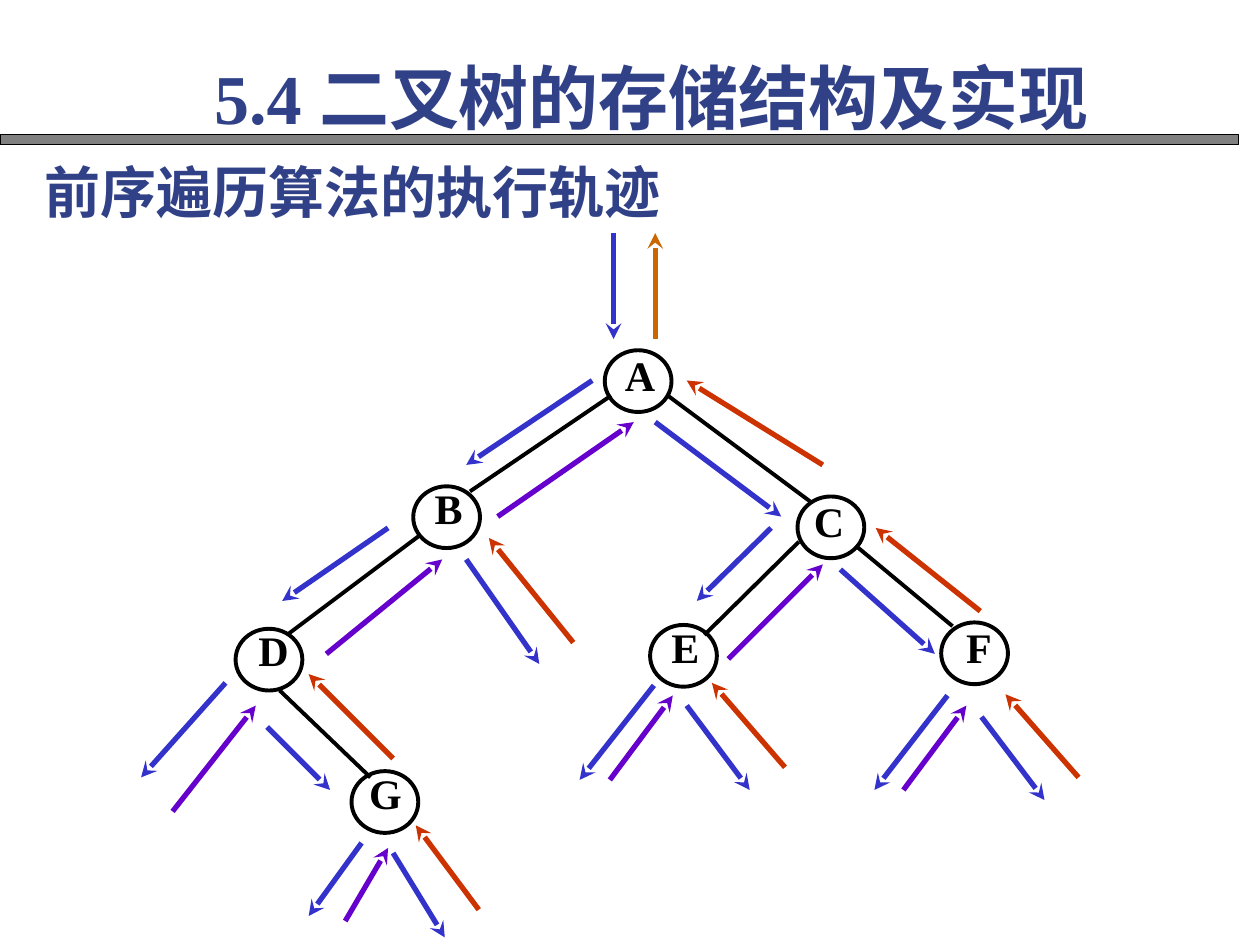
from dataclasses import dataclass
from pptx import Presentation
from pptx.dml.color import RGBColor as RGB
from pptx.enum.shapes import MSO_CONNECTOR as Link, MSO_SHAPE as Shape
from pptx.enum.text import MSO_ANCHOR as Anchor, PP_ALIGN as Align
from pptx.oxml.ns import qn
from pptx.util import Inches, Pt
from lxml.etree import SubElement as Sub


@dataclass
class Theme:
    ink: str = "000000"
    bar: str = "808080"
    head: str = "314187"
    call: str = "3333CC"
    left: str = "6600CC"
    right: str = "CC3300"
    done: str = "CC6600"
    latin: str = "Times New Roman"
    asian: str = "Noto Sans CJK SC"
    title: int = 40
    lead: int = 32
    node: int = 24
    thin: float = 0.75
    edge: float = 2.25
    arrow: float = 3


NODES = {
    "A": (4.8, 2.78, 0.06, -0.01),
    "B": (3.28, 3.86, 0.06, -0.03),
    "C": (6.33, 3.94, 0.03, -0.01),
    "D": (1.87, 4.99, 0.08, -0.03),
    "E": (5.16, 4.96, 0.06, -0.03),
    "F": (7.47, 4.94, 0.08, -0.01),
    "G": (2.79, 6.12, 0.05, -0.03),
}

EDGES = [
    (4.85, 3.14, 3.73, 3.9), (5.3, 3.14, 6.43, 3.98),
    (3.33, 4.25, 2.29, 5.03), (2.22, 5.48, 2.94, 6.17),
    (6.34, 4.3, 5.59, 5.04), (6.79, 4.33, 7.56, 4.97),
]

STEPS = {
    "call": [
        (4.87, 1.85, 4.87, 2.69), (4.7, 3.02, 3.7, 3.69),
        (3.08, 4.19, 2.24, 4.77), (1.79, 5.42, 1.12, 6.17),
        (2.12, 5.77, 2.62, 6.27), (2.87, 6.69, 2.45, 7.27),
        (3.12, 6.77, 3.53, 7.44), (3.7, 4.44, 4.28, 5.27),
        (5.2, 3.35, 6.2, 4.1), (6.12, 4.19, 5.53, 4.77),
        (5.19, 5.44, 4.6, 6.19), (5.45, 5.6, 5.95, 6.27),
        (6.67, 4.52, 7.42, 5.19), (7.52, 5.52, 6.94, 6.27),
        (7.79, 5.69, 8.29, 6.35),
    ],
    "left": [
        (1.37, 6.44, 2.03, 5.6), (2.74, 7.31, 3.08, 6.73),
        (2.59, 5.19, 3.51, 4.44), (3.95, 4.1, 5.03, 3.35),
        (4.84, 6.19, 5.34, 5.52), (5.78, 5.23, 6.53, 4.48),
        (7.17, 6.27, 7.67, 5.6),
    ],
    "right": [
        (3.8, 7.22, 3.3, 6.55), (3.12, 6.02, 2.45, 5.35),
        (4.55, 5.1, 3.88, 4.27), (6.23, 6.09, 5.65, 5.42),
        (8.56, 6.17, 7.98, 5.51), (7.78, 4.85, 6.95, 4.19),
        (6.53, 3.69, 5.45, 3.02),
    ],
    "done": [(5.2, 2.69, 5.2, 1.85)],
}


class Deck:
    """Holds the theme and the current slide, and draws each kind of element."""

    def __init__(self, slide, theme):
        self.slide, self.theme = slide, theme

    def apply(self, item, form):
        for name, value in form.items():
            setattr(item, name, value)

    def text(self, box, words, size, color, align, anchor, pad=(0, 0)):
        frame = box.text_frame
        side, top = map(Inches, pad)
        self.apply(frame, dict(
            word_wrap=True, vertical_anchor=anchor, margin_left=side,
            margin_right=side, margin_top=top, margin_bottom=top))
        para = frame.paragraphs[0]
        props = para._p.get_or_add_pPr()
        props.set("marL", "0")
        props.set("indent", "0")
        Sub(props, qn("a:buNone"))
        self.apply(para, dict(alignment=align, space_before=Pt(0), line_spacing=1.0))
        run = para.add_run()
        run.text = words
        self.apply(run.font, dict(name=self.theme.latin, size=Pt(size), bold=True))
        run.font.color.rgb = RGB.from_string(color)
        Sub(run._r.get_or_add_rPr(), qn("a:ea")).set("typeface", self.theme.asian)

    def fill(self, index, place, words, size, align):
        box = self.slide.placeholders[index]
        sides = ("left", "top", "width", "height")
        self.apply(box, dict(zip(sides, map(Inches, place))))
        self.text(box, words, size, self.theme.head, align, Anchor.MIDDLE, (0.1, 0.05))

    def shape(self, kind, place, width, fill=None):
        item = self.slide.shapes.add_shape(kind, *map(Inches, place))
        item.shadow.inherit = False
        if fill:
            item.fill.solid()
            item.fill.fore_color.rgb = RGB.from_string(fill)
        else:
            item.fill.background()
        item.line.color.rgb = RGB.from_string(self.theme.ink)
        item.line.width = Pt(width)

    def node(self, name, x, y, dx, dy):
        place = map(Inches, (x + dx, y + dy, 0.44, 0.58))
        box = self.slide.shapes.add_textbox(*place)
        self.text(box, name, self.theme.node, self.theme.ink, Align.CENTER, Anchor.TOP)
        self.shape(Shape.OVAL, (x, y, 0.53, 0.49), self.theme.edge)

    def line(self, ends, color, width, tip=False):
        item = self.slide.shapes.add_connector(Link.STRAIGHT, *map(Inches, ends))
        item.line.color.rgb = RGB.from_string(color)
        item.line.width = Pt(width)
        props = item._element.spPr
        Sub(props, qn("a:effectLst"))
        if tip:
            Sub(props.find(qn("a:ln")), qn("a:tailEnd")).set("type", "stealth")


def main():
    theme = Theme()
    show = Presentation()
    show.slide_width, show.slide_height = Inches(10), Inches(7.5)
    deck = Deck(show.slides.add_slide(show.slide_layouts[1]), theme)
    deck.shape(Shape.RECTANGLE, (0, 1.07, 9.83, 0.08), theme.thin, theme.bar)
    for name, spot in NODES.items():
        deck.node(name, *spot)
    for ends in EDGES:
        deck.line(ends, theme.ink, theme.edge)
    for kind, steps in STEPS.items():
        for ends in steps:
            deck.line(ends, getattr(theme, kind), theme.arrow, True)
    deck.fill(0, (1.6, 0.38, 7.71, 0.77), "5.4 二叉树的存储结构及实现", theme.title, Align.JUSTIFY)
    deck.fill(1, (0.25, 1.2, 5.58, 0.64), "前序遍历算法的执行轨迹", theme.lead, Align.LEFT)
    show.save("out.pptx")


if __name__ == "__main__":
    main()
